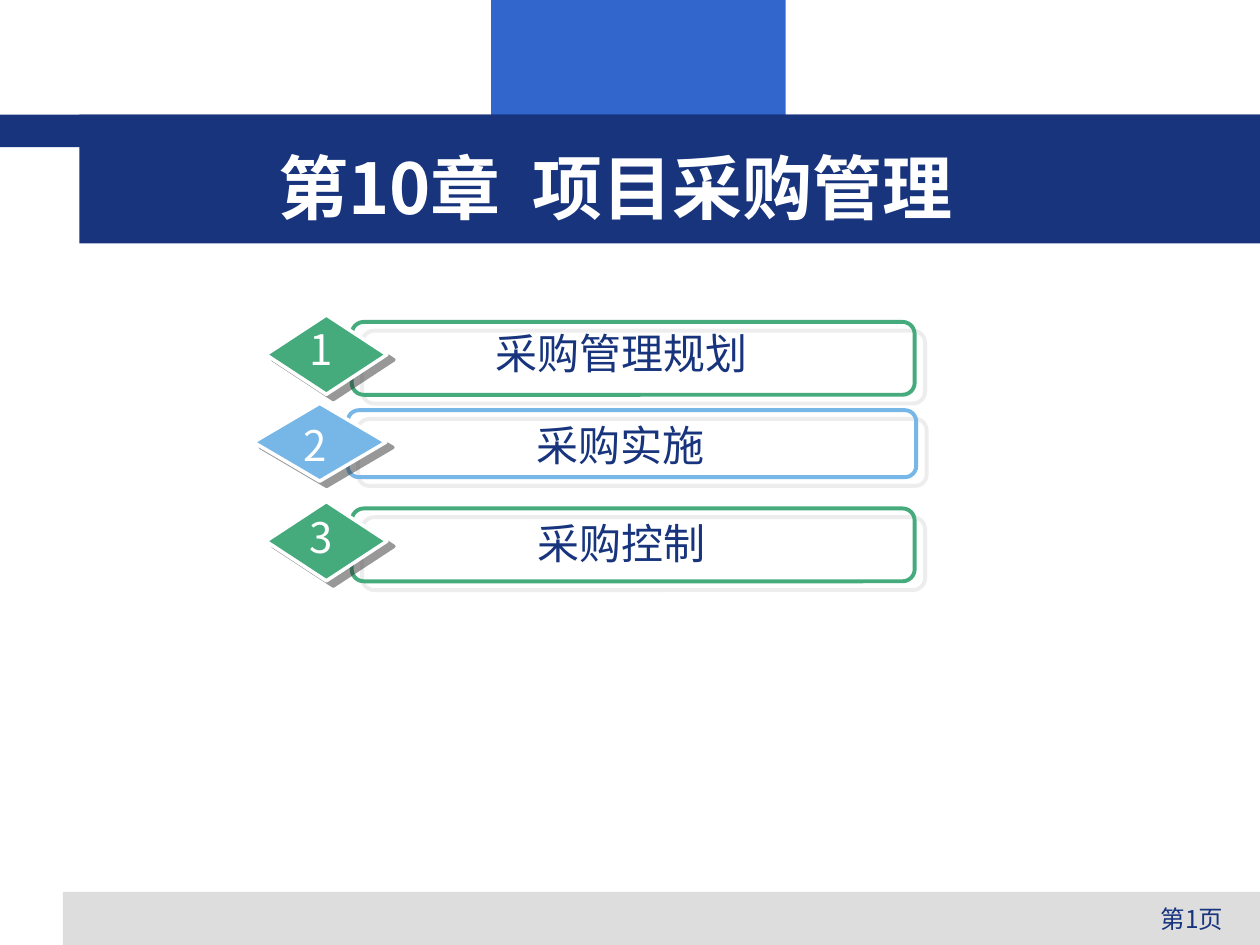
from lxml import etree
from pptx import Presentation
from pptx import util as u
from pptx.dml.color import RGBColor
from pptx.enum import shapes, text
from pptx.oxml.ns import qn

FONT = "Noto Sans CJK SC"
COLORS = {
    "navy": "17347D", "blue": "3366CC", "grey": "DDDDDD", "green": "45AB7D",
    "sky": "77B7E7", "white": "FFFFFF", "dark": "333333",
}
AGENDA = [
    {"topic": "采购管理规划", "color": "green", "box": (5.36, 6.35, 13.08, 1.6),
     "gem_width": 2.44, "overlap": 0.71, "frame_height": 1.47,
     "topic_drop": 0.13, "number_drop": 0.05},
    {"topic": "采购实施", "color": "sky", "box": (5.11, 8.13, 13.36, 1.57),
     "gem_width": 2.67, "overlap": 0.77, "frame_height": 1.35,
     "topic_drop": 0.2, "number_drop": 0.2},
    {"topic": "采购控制", "color": "green", "box": (5.36, 10.11, 13.08, 1.6),
     "gem_width": 2.44, "overlap": 0.71, "frame_height": 1.47,
     "topic_drop": 0.2, "number_drop": 0.08},
]


def rgb(name):
    return RGBColor.from_string(COLORS[name])


def cm(*lengths):
    return [u.Cm(length) for length in lengths]


def add_figure(slide, preset, box, fill=None, line=None, width=0):
    figure = slide.shapes.add_shape(preset, *cm(*box))
    figure.shadow.inherit = False
    if fill:
        figure.fill.solid()
        figure.fill.fore_color.rgb = rgb(fill)
    else:
        figure.fill.background()
    if line:
        figure.line.color.rgb = rgb(line)
        figure.line.width = u.Pt(width)
    else:
        figure.line.fill.background()
    return figure


def cast_shadow(figure, color, distance, degrees):
    effects = figure._element.spPr.find(qn("a:effectLst"))
    shadow = etree.SubElement(
        effects, qn("a:outerShdw"), dist=str(u.Pt(distance)),
        dir=str(degrees * 60000), algn="ctr", rotWithShape="0")
    tint = etree.SubElement(shadow, qn("a:srgbClr"), val=COLORS[color])
    etree.SubElement(tint, qn("a:alpha"), val="50000")


def write(holder, words, size, color, align, bold=False):
    frame = holder.text_frame
    frame.text = words
    frame.word_wrap = True
    frame.auto_size = text.MSO_AUTO_SIZE.NONE
    frame.vertical_anchor = text.MSO_ANCHOR.MIDDLE
    frame.margin_left = frame.margin_right = u.Cm(0.25)
    frame.margin_top = frame.margin_bottom = u.Cm(0.13)
    paragraph = frame.paragraphs[0]
    paragraph.alignment = align
    paragraph.space_before = u.Pt(0)
    paragraph.line_spacing = 1.0
    for run in paragraph.runs:
        run.font.size = u.Pt(size)
        run.font.bold = bold
        run.font.name = FONT
        run.font.color.rgb = rgb(color)
        east_asian = etree.SubElement(run._r.get_or_add_rPr(), qn("a:ea"))
        east_asian.set("typeface", FONT)


def add_words(slide, box, words, size, color, align):
    write(slide.shapes.add_textbox(*cm(*box)), words, size, color, align)


def header(slide, box):
    left, top, width, height = box
    rect = shapes.MSO_SHAPE.RECTANGLE
    add_figure(slide, rect, (left + 9.9, top, 5.94, 2.33), "blue")
    add_figure(slide, rect, (left, top + 2.31, width, 0.66), "navy")
    add_figure(slide, rect, (left + 1.6, top + 2.31, width - 1.6, height - 2.31), "navy")
    title = slide.shapes.title
    title.left, title.top, title.width, title.height = cm(
        left + 5.36, top + 2.77, 16.87, 1.96)
    write(title, "第10章  项目采购管理", 40, "white", text.PP_ALIGN.LEFT, True)
    slide.shapes._spTree.append(title._element)


def agenda_row(slide, number, row):
    left, top, width, height = row["box"]
    gem_width = row["gem_width"]
    frame_left = gem_width - row["overlap"]
    frame = add_figure(
        slide, shapes.MSO_SHAPE.ROUNDED_RECTANGLE,
        (left + frame_left, top + 0.14, width - frame_left, row["frame_height"]),
        line=row["color"], width=2.25)
    cast_shadow(frame, "grey", 7.8, 40)
    gem = add_figure(slide, shapes.MSO_SHAPE.DIAMOND,
                     (left, top, gem_width, height), row["color"], "white", 2)
    cast_shadow(gem, "dark", 5, 37)
    add_words(slide, (left + gem_width - 0.04, top + row["topic_drop"], 9.53, 1.27),
              row["topic"], 24, "navy", text.PP_ALIGN.CENTER)
    add_words(slide, (left + 0.02, top + row["number_drop"], gem_width - 0.24, 1.27),
              str(number), 24, "white", text.PP_ALIGN.CENTER)


def footer(slide, box):
    left, top, width, height = box
    add_figure(slide, shapes.MSO_SHAPE.RECTANGLE, box, "grey")
    add_words(slide, (left + width - 9.3, top + 0.03, 8.81, height - 0.03),
              "第1页", 14, "navy", text.PP_ALIGN.RIGHT)


def main():
    deck = Presentation()
    deck.slide_width, deck.slide_height = cm(25.4, 19.05)
    slide = deck.slides.add_slide(deck.slide_layouts[5])
    header(slide, (0, 0, 25.4, 4.91))
    for number, row in enumerate(AGENDA, 1):
        agenda_row(slide, number, row)
    footer(slide, (1.27, 17.98, 24.13, 1.07))
    deck.save("out.pptx")


if __name__ == "__main__":
    main()
